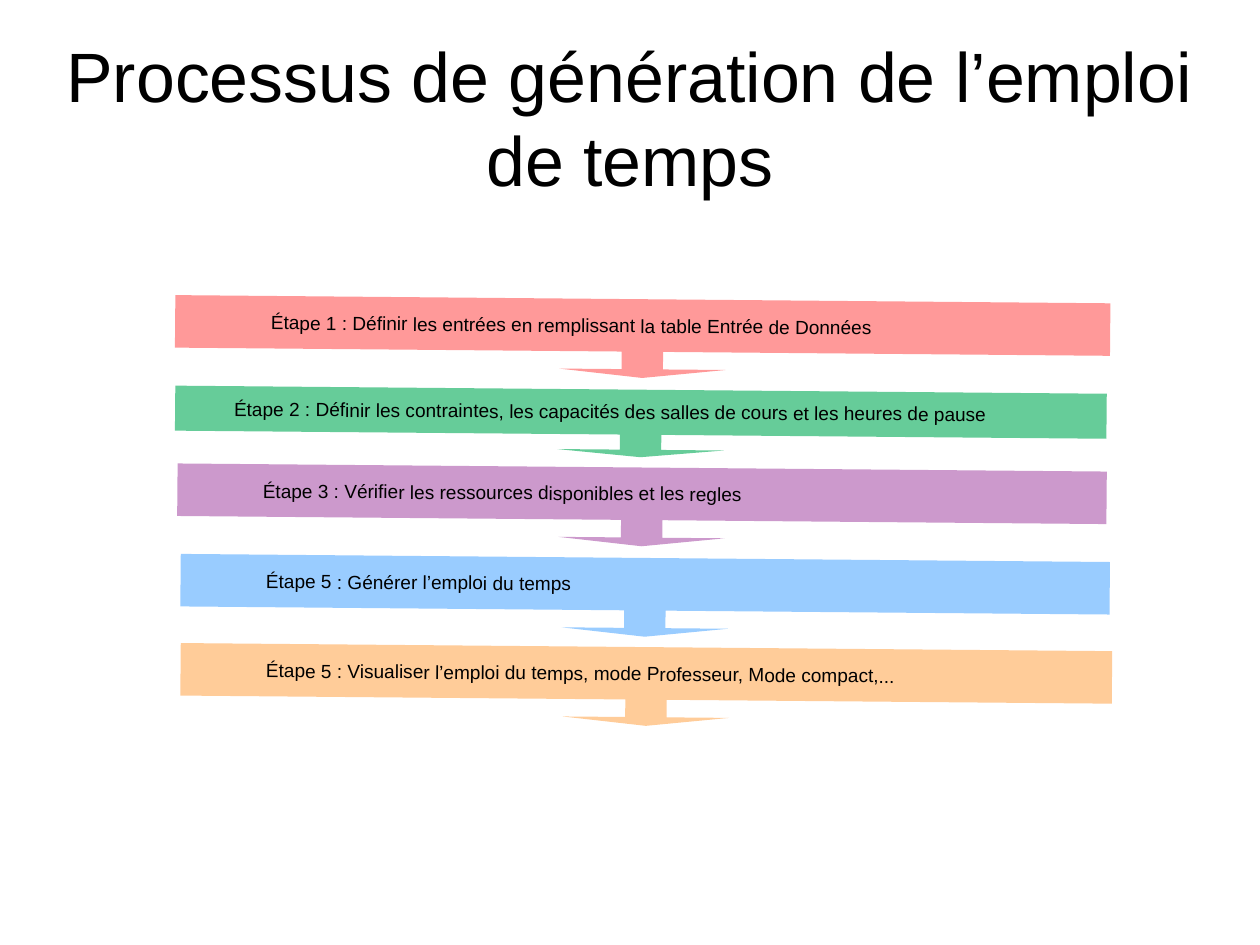
"""Build the slide on the steps of timetable generation."""
from pptx import Presentation
from pptx.dml.color import RGBColor
from pptx.enum import shapes, text
from pptx.util import Cm, Pt


def paint(target, color):
    target.rgb = RGBColor.from_string(color)


def write(shape, words, size=12, align=text.PP_ALIGN.LEFT, left=0.25, side=0.25, edge=0.13):
    frame = shape.text_frame
    frame.word_wrap = True
    frame.vertical_anchor = text.MSO_ANCHOR.MIDDLE
    frame.margin_left, frame.margin_right = Cm(left), Cm(side)
    frame.margin_top = frame.margin_bottom = Cm(edge)
    frame.text = words
    line = frame.paragraphs[0]
    line.alignment = align
    font = line.runs[0].font
    font.name, font.size = "Arial", Pt(size)
    paint(font.color, "000000")


deck = Presentation()
deck.slide_width, deck.slide_height = Cm(28), Cm(21)
slide = deck.slides.add_slide(deck.slide_layouts[5])

title = slide.shapes.title
title.left, title.top, title.width, title.height = Cm(1.4), Cm(0.84), Cm(25.2), Cm(3.5)
write(title, "Processus de génération de l’emploi de temps", size=44,
      align=text.PP_ALIGN.CENTER, left=0, side=0, edge=0)
title.text_frame.auto_size = text.MSO_AUTO_SIZE.SHAPE_TO_FIT_TEXT

steps = [
    (3.89, 6.65, 20.78, 1.75, 2.13, "FF9999",
     "Étape 1 : Définir les entrées en remplissant la table Entrée de Données"),
    (3.89, 8.66, 20.7, 1.5, 1.31, "66CC99",
     "Étape 2 : Définir les contraintes, les capacités des salles de cours et les heures de pause"),
    (3.94, 10.39, 20.65, 1.75, 1.9, "CC99CC",
     "Étape 3 : Vérifier les ressources disponibles et les regles"),
    (4.01, 12.4, 20.65, 1.75, 1.9, "99CCFF",
     "Étape 5 : Générer l’emploi du temps"),
    (4.01, 14.38, 20.7, 1.75, 1.9, "FFCC99",
     "Étape 5 : Visualiser l’emploi du temps, mode Professeur, Mode compact,..."),
]
stem, head = 0.92, 1.85

flow = slide.shapes.add_group_shape()
for left, top, width, height, indent, color, words in steps:
    step = flow.shapes.add_shape(shapes.MSO_SHAPE.DOWN_ARROW_CALLOUT,
                                 Cm(left), Cm(top), Cm(width), Cm(height))
    for index, ratio in enumerate((stem / height, head / height, 0.11, 0.667)):
        step.adjustments[index] = ratio
    step.rotation = 0.5
    step.shadow.inherit = False
    step.fill.solid()
    paint(step.fill.fore_color, color)
    step.line.fill.background()
    write(step, words, left=indent)

deck.save("out.pptx")
